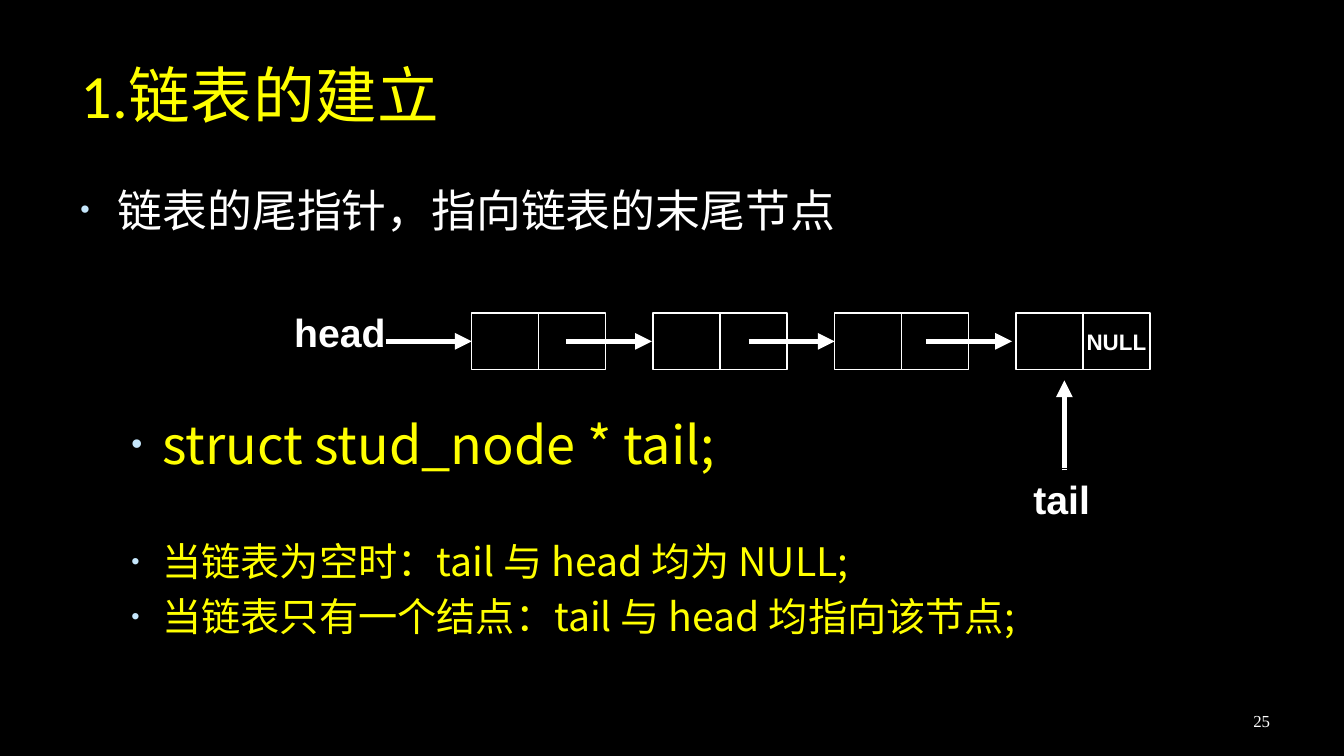
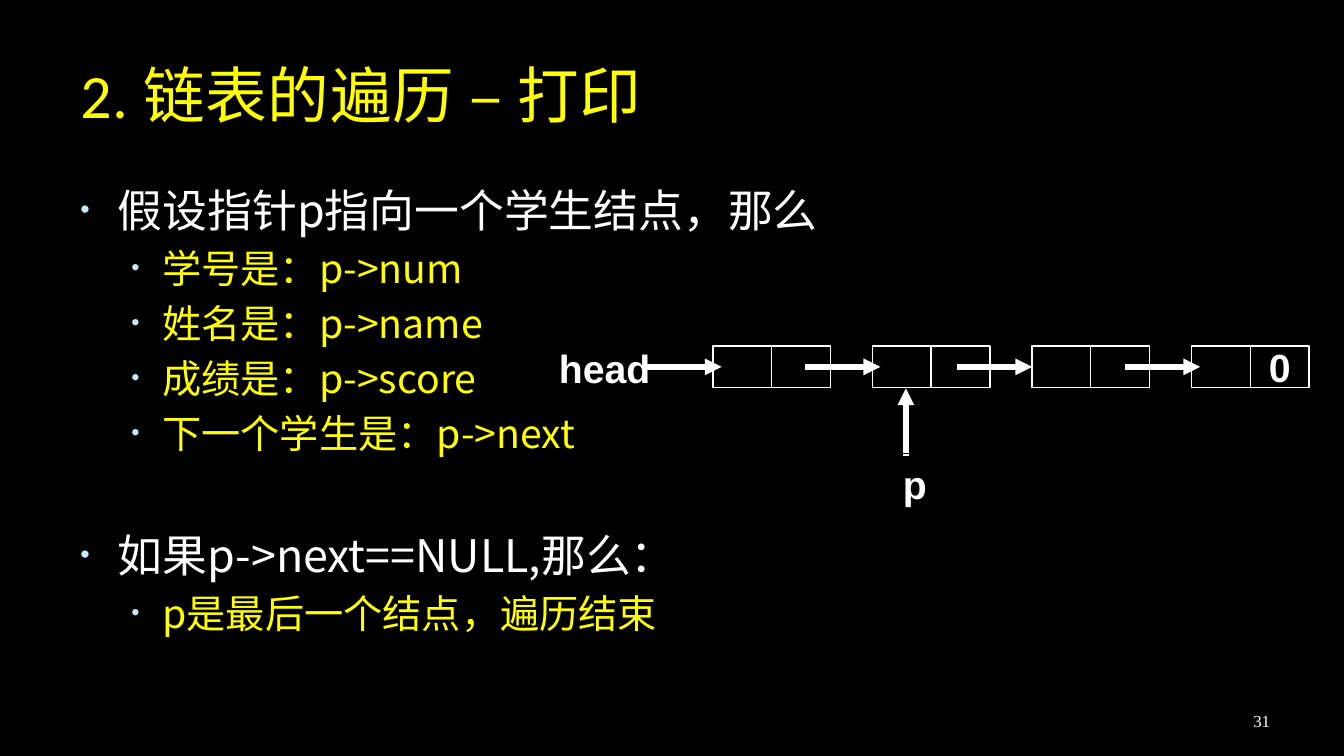
"""Two slides on linked lists: building one and walking through one."""
from dataclasses import dataclass
from typing import Any

from lxml import etree
from pptx import Presentation
from pptx import util as u
from pptx.dml.color import RGBColor
from pptx.enum import shapes, text
from pptx.oxml.ns import qn

HUES = {"back": "000000", "ink": "FFFFFF", "key": "FFFF00", "dot": "C6E7FC"}
SANS, HAN, BOLD, SERIF = "Calibri", "Noto Sans CJK SC", "Arial", "Times New Roman"
WIDTH = u.Inches(10)
HEIGHT = WIDTH * 9 // 16
CELL = WIDTH / 100
BLANK = 29.5


@dataclass(frozen=True)
class Box:
    x: float
    y: float
    w: float
    h: float


@dataclass(frozen=True)
class Style:
    font: str
    size: float
    hue: str
    bold: bool = False


@dataclass(frozen=True)
class Level:
    left: float
    hang: float
    hue: str
    size: float


@dataclass(frozen=True)
class Item:
    words: str
    level: int = 1
    size: float = 0
    gap: float = 0


@dataclass(frozen=True)
class Label:
    words: str
    box: Box


@dataclass(frozen=True)
class Chain:
    first: Box
    step: float
    end: Style
    mark: str
    head: Label
    starts: tuple[float, ...]
    reach: float
    ptr: Label
    stem: tuple[float, float, float]


@dataclass(frozen=True)
class Page:
    title: str
    items: tuple[Item, ...]
    number: str
    chain: Chain


LEVELS = (Level(2.8, 2.8, "ink", 24), Level(6.1, 2.3, "key", 21))
TITLE = Style(SANS, 33, "key")
FOOT = Style(SERIF, 9, "ink")
NAME = Style(BOLD, 21, "ink", True)
SMALL = Style(BOLD, 12, "ink", True)

PAGES = (
    Page(
        "1.链表的建立",
        (
            Item("链表的尾指针，指向链表的末尾节点", 0),
            Item("struct stud_node * tail;", size=28, gap=3 * BLANK),
            Item("当链表为空时：tail 与 head 均为 NULL;", gap=BLANK),
            Item("当链表只有一个结点：tail 与 head 均指向该节点;"),
        ),
        "25",
        Chain(Box(35.1, 23.3, 4.98, 4.2), 13.5, SMALL, "NULL",
              Label("head", Box(20.9, 22.45, 10.1, 6.1)),
              (28.7, 42.1, 55.7, 68.9), 6.4,
              Label("tail", Box(75.9, 34.85, 7.1, 6.1)), (79.2, 35, 28.3)),
    ),
    Page(
        "2. 链表的遍历 – 打印",
        (
            Item("假设指针p指向一个学生结点，那么", 0),
            Item("学号是：p->num"),
            Item("姓名是：p->name"),
            Item("成绩是：p->score"),
            Item("下一个学生是：p->next"),
            Item("如果p->next==NULL,那么：", 0, gap=33.7),
            Item("p是最后一个结点，遍历结束"),
        ),
        "31",
        Chain(Box(53.05, 25.75, 4.37, 3.1), 11.87, NAME, "0",
              Label("head", Box(40.6, 25.15, 8.9, 4.5)),
              (48.1, 59.9, 71.2, 83.7), 5.6,
              Label("p", Box(66.2, 33.75, 3.8, 4.5)), (67.4, 33.9, 28.9)),
    ),
)


def tone(name: str) -> RGBColor:
    """Look up a colour."""
    return RGBColor.from_string(HUES[name])


def grid(*cells: float) -> list[int]:
    """Turn grid cells into lengths."""
    return [round(n * CELL) for n in cells]


def span(box: Box) -> list[int]:
    """Give the place and size of a box."""
    return grid(box.x, box.y, box.w, box.h)


def write(para: Any, words: str, style: Style) -> Any:
    """Add one styled run."""
    run = para.add_run()
    run.text = words
    font = run.font
    font.name, font.size, font.bold = style.font, u.Pt(style.size), style.bold
    font.color.rgb = tone(style.hue)
    etree.SubElement(font._element, qn("a:ea")).set("typeface", HAN)
    return run


def frame(slide: Any, box: Box, mid: bool = True) -> Any:
    """Add a wrapping text box and return its frame."""
    body = slide.shapes.add_textbox(*span(box)).text_frame
    body.word_wrap = True
    if mid:
        body.vertical_anchor = text.MSO_ANCHOR.MIDDLE
    return body


def bullet(para: Any, level: Level) -> None:
    """Give a paragraph its indent and dot."""
    props = para._p.get_or_add_pPr()
    left, hang = grid(level.left, level.hang)
    props.set("marL", str(left))
    props.set("indent", str(-hang))
    hue = etree.SubElement(props, qn("a:buClr"))
    etree.SubElement(hue, qn("a:srgbClr")).set("val", HUES["dot"])
    etree.SubElement(props, qn("a:buSzPct")).set("val", "60000")
    etree.SubElement(props, qn("a:buFont")).set("typeface", BOLD)
    etree.SubElement(props, qn("a:buChar")).set("char", "•")


def fill(body: Any, items: tuple[Item, ...]) -> None:
    """Write the bulleted list."""
    for rank, item in enumerate(items):
        para = body.add_paragraph() if rank else body.paragraphs[0]
        level = LEVELS[item.level]
        size = item.size or level.size
        para.level = item.level
        bullet(para, level)
        para.space_before = u.Pt(item.gap + size / 5 if rank else 0)
        write(para, item.words, Style(HAN, size, level.hue))


def rect(group: Any, box: Box, hue: str) -> Any:
    """Draw an outlined box and return its frame."""
    shape = group.shapes.add_shape(shapes.MSO_SHAPE.RECTANGLE, *span(box))
    shape.shadow.inherit = False
    shape.fill.background()
    shape.line.color.rgb = tone(hue)
    shape.line.width = u.Pt(0.75)
    return shape.text_frame


def arrow(group: Any, *ends: float) -> None:
    """Draw an arrow between two points."""
    link = group.shapes.add_connector(shapes.MSO_CONNECTOR.STRAIGHT, *grid(*ends))
    link.line.color.rgb = tone("ink")
    link.line.width = u.Pt(3)
    tip = etree.SubElement(link.line._get_or_add_ln(), qn("a:tailEnd"))
    tip.set("type", "triangle")
    etree.SubElement(link._element.spPr, qn("a:effectLst"))


def label(group: Any, tag: Label) -> None:
    """Draw the name of a pointer."""
    body = rect(group, tag.box, "back")
    body.word_wrap = True
    body.margin_right = 0
    body.vertical_anchor = text.MSO_ANCHOR.TOP
    para = body.paragraphs[0]
    para.alignment = text.PP_ALIGN.LEFT
    write(para, tag.words, NAME)


def draw(slide: Any, chain: Chain) -> None:
    """Draw the nodes, links and pointers of a list."""
    group = slide.shapes.add_group_shape()
    first = chain.first
    label(group, chain.head)
    for rank, start in enumerate(chain.starts):
        for half in range(2):
            left = first.x + rank * chain.step + half * first.w
            body = rect(group, Box(left, first.y, first.w, first.h), "ink")
        mid = first.y + first.h / 2
        arrow(group, start, mid, start + chain.reach, mid)
    body.word_wrap = False
    body.margin_left = body.margin_right = 0
    body.vertical_anchor = text.MSO_ANCHOR.MIDDLE
    para = body.paragraphs[0]
    para.alignment = text.PP_ALIGN.CENTER
    write(para, chain.mark, chain.end)
    x, low, top = chain.stem
    arrow(group, x, low, x, top)
    label(group, chain.ptr)


def build(deck: Any, page: Page) -> None:
    """Add one slide."""
    slide = deck.slides.add_slide(deck.slide_layouts[6])
    back = slide.background.fill
    back.solid()
    back.fore_color.rgb = tone("back")
    title = frame(slide, Box(5, 2.25, 85, 9.4))
    write(title.paragraphs[0], page.title, TITLE).font._element.set("spc", "40")
    fill(frame(slide, Box(5, 13.1, 90, 37.1), False), page.items)
    foot = frame(slide, Box(71.7, 52.15, 23.3, 3))
    foot.margin_left = foot.margin_right = u.Inches(0.05)
    para = foot.paragraphs[0]
    para.alignment = text.PP_ALIGN.RIGHT
    write(para, page.number, FOOT)
    draw(slide, page.chain)


def main() -> None:
    """Build and save the deck."""
    deck = Presentation()
    deck.slide_width, deck.slide_height = WIDTH, HEIGHT
    for page in PAGES:
        build(deck, page)
    deck.save("out.pptx")


if __name__ == "__main__":
    main()
